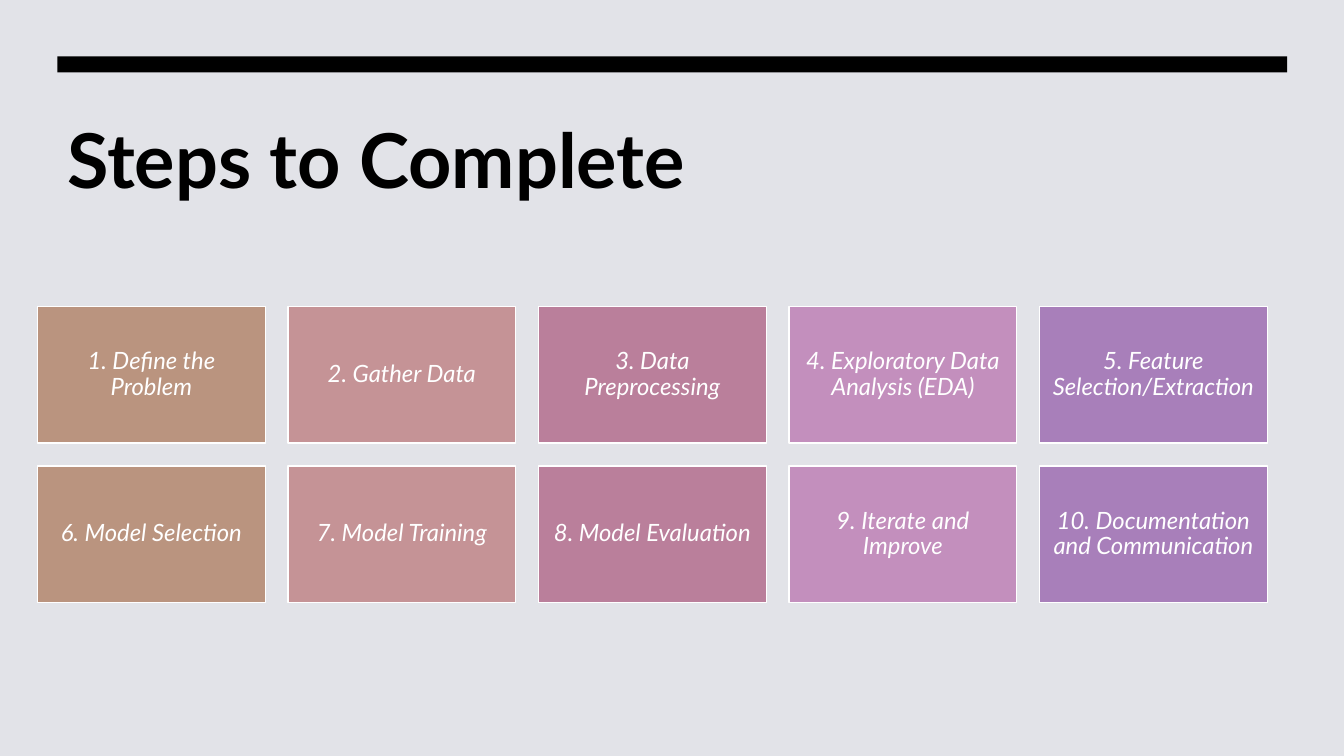
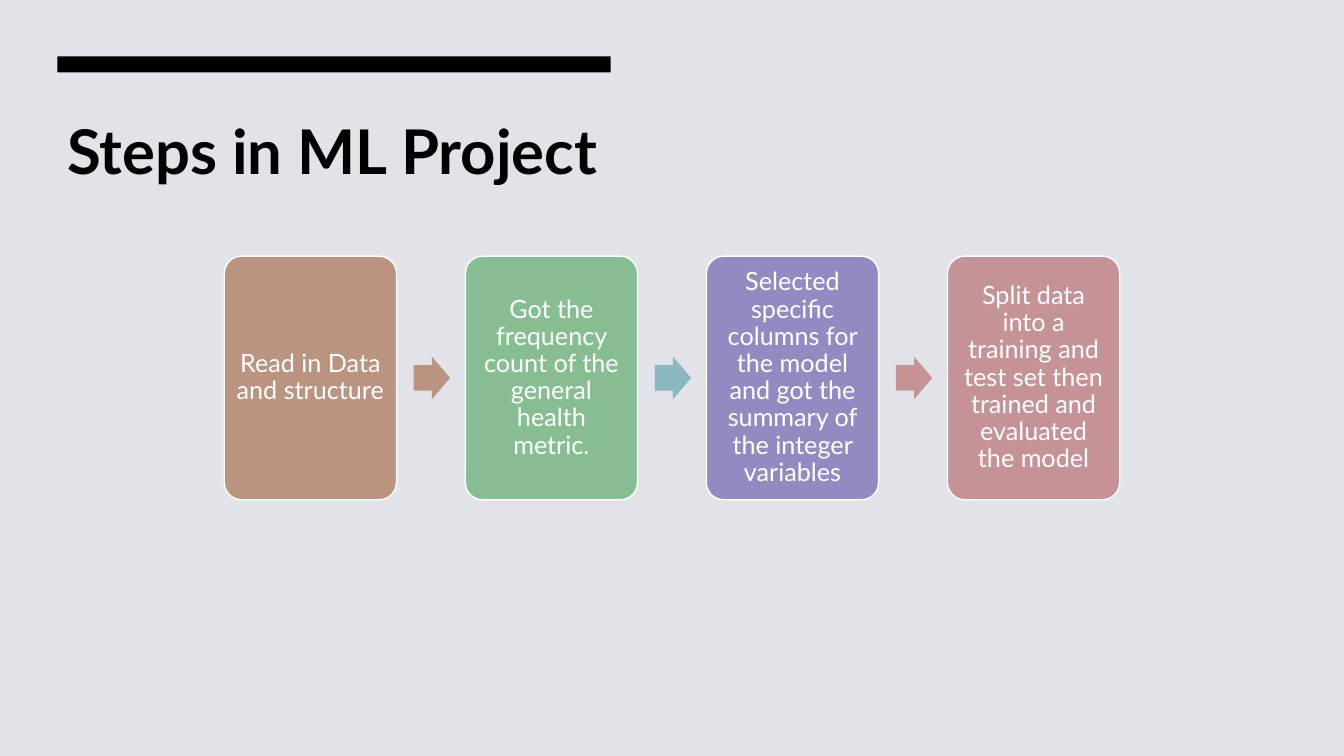
import pptx
import pptx.dml.color
import pptx.enum.shapes
import pptx.enum.text
import pptx.util

Pt = pptx.util.Pt
SHAPE = pptx.enum.shapes.MSO_SHAPE
ALIGN = pptx.enum.text.PP_ALIGN
ANCHOR = pptx.enum.text.MSO_ANCHOR

WIDTH, HEIGHT = 960, 540
LEFT, BAR_TOP, BAR_HEIGHT = 41, 40.3, 11.5
FULL_WIDTH, HALF_WIDTH = 878.4, 395.3
BACKGROUND, BLACK, WHITE = "E2E3E8", "000000", "FFFFFF"
TAN, ROSE, MAUVE, ORCHID, PURPLE = "BA947F", "C59396", "BA7F9B", "C38FBD", "A87FBA"
GREEN, TEAL, VIOLET = "86BE92", "89B7C0", "908CC1"

STEPS = [
    "1. Define the Problem", "2. Gather Data", "3. Data Preprocessing",
    "4. Exploratory Data Analysis (EDA)", "5. Feature Selection/Extraction",
    "6. Model Selection", "7. Model Training", "8. Model Evaluation",
    "9. Iterate and Improve", "10. Documentation and Communication",
]
STEP_COLORS = [TAN, ROSE, MAUVE, ORCHID, PURPLE]

# Each stage: text, card colour, colour of the arrow that follows it
STAGES = [
    ("Read in Data and structure ", TAN, TAN),
    ("Got the frequency count of the general health metric.", GREEN, TEAL),
    ("Selected specific columns for the model and got the summary "
     "of the integer variables", VIOLET, ROSE),
    ("Split data into a training and test set then trained and "
     "evaluated the model", ROSE, None),
]


def rgb(value):
    return pptx.dml.color.RGBColor.from_string(value)


def apply(target, values):
    """Set each named attribute of target."""
    for name, value in values.items():
        setattr(target, name, value)


class Deck:
    font = "Lato"

    def __init__(self):
        self.prs = pptx.Presentation()
        apply(self.prs, {"slide_width": Pt(WIDTH), "slide_height": Pt(HEIGHT)})
        self.s = None

    def slide(self, title, size, width):
        """Start a slide with its background, top bar and title."""
        self.s = self.prs.slides.add_slide(self.prs.slide_layouts[6])
        fill = self.s.background.fill
        fill.solid()
        fill.fore_color.rgb = rgb(BACKGROUND)
        self.shape(SHAPE.RECTANGLE, LEFT, BAR_TOP, width, BAR_HEIGHT, BLACK)
        self.title(title, size, width)

    def title(self, text, size, width):
        sp = self.s.shapes.add_textbox(Pt(LEFT), Pt(77.3), Pt(width), Pt(size * 1.4))
        sp.text_frame.word_wrap = True
        self.add_text(sp.text_frame, text, BLACK, size=Pt(size), bold=True)

    def shape(self, kind, x, y, w, h, fill, line=None, adjust=()):
        sp = self.s.shapes.add_shape(kind, Pt(x), Pt(y), Pt(w), Pt(h))
        sp.shadow.inherit = False
        for i, value in enumerate(adjust):
            sp.adjustments[i] = value
        sp.fill.solid()
        sp.fill.fore_color.rgb = rgb(fill)
        if line:
            sp.line.color.rgb = rgb(line)
            sp.line.width = Pt(1)
        else:
            sp.line.fill.background()
        return sp

    def card(self, kind, x, y, w, h, fill, text, adjust=(), **font):
        """Add a white-edged box with centred white text."""
        tf = self.shape(kind, x, y, w, h, fill, WHITE, adjust).text_frame
        apply(tf, {"word_wrap": True, "vertical_anchor": ANCHOR.MIDDLE})
        apply(tf, {f"margin_{side}": Pt(5)
                   for side in ("left", "top", "right", "bottom")})
        p = self.add_text(tf, text, WHITE, **font)
        apply(p, {"alignment": ALIGN.CENTER, "line_spacing": 0.9})

    def arrow(self, x, y, w, h, fill):
        self.shape(SHAPE.RIGHT_ARROW, x, y, w, h, fill, adjust=(0.6, 0.5))

    def add_text(self, tf, text, color, **font):
        p = tf.paragraphs[0]
        r = p.add_run()
        r.text = text
        apply(r.font, {"name": self.font, **font})
        r.font.color.rgb = rgb(color)
        return p


def add_step_grid(deck):
    deck.slide("Steps to Complete", 54, FULL_WIDTH)
    columns = len(STEP_COLORS)
    w = FULL_WIDTH / (1.1 * columns - 0.1)
    h, gap = 0.6 * w, 0.1 * w
    for i, text in enumerate(STEPS):
        row, col = divmod(i, columns)
        deck.card(SHAPE.RECTANGLE, 26.8 + col * (w + gap), 218.9 + row * (h + gap),
                  w, h, STEP_COLORS[col], text, size=Pt(17), italic=True)


def add_stage_flow(deck):
    deck.slide("Steps in ML Project", 44, HALF_WIDTH)
    w, h = 123, 174
    pitch = 1.4 * w
    arrow_w, arrow_h = 26, 30.5
    left = (WIDTH - pitch * (len(STAGES) - 1) - w) / 2
    for i, (text, fill, arrow_fill) in enumerate(STAGES):
        x = left + i * pitch
        deck.card(SHAPE.ROUNDED_RECTANGLE, x, (HEIGHT - h) / 2, w, h, fill, text,
                  adjust=(0.1,), size=Pt(18))
        if arrow_fill:
            deck.arrow(x + 1.1 * w, (HEIGHT - arrow_h) / 2, arrow_w, arrow_h, arrow_fill)


def main():
    deck = Deck()
    add_step_grid(deck)
    add_stage_flow(deck)
    deck.prs.save("out.pptx")


if __name__ == "__main__":
    main()
